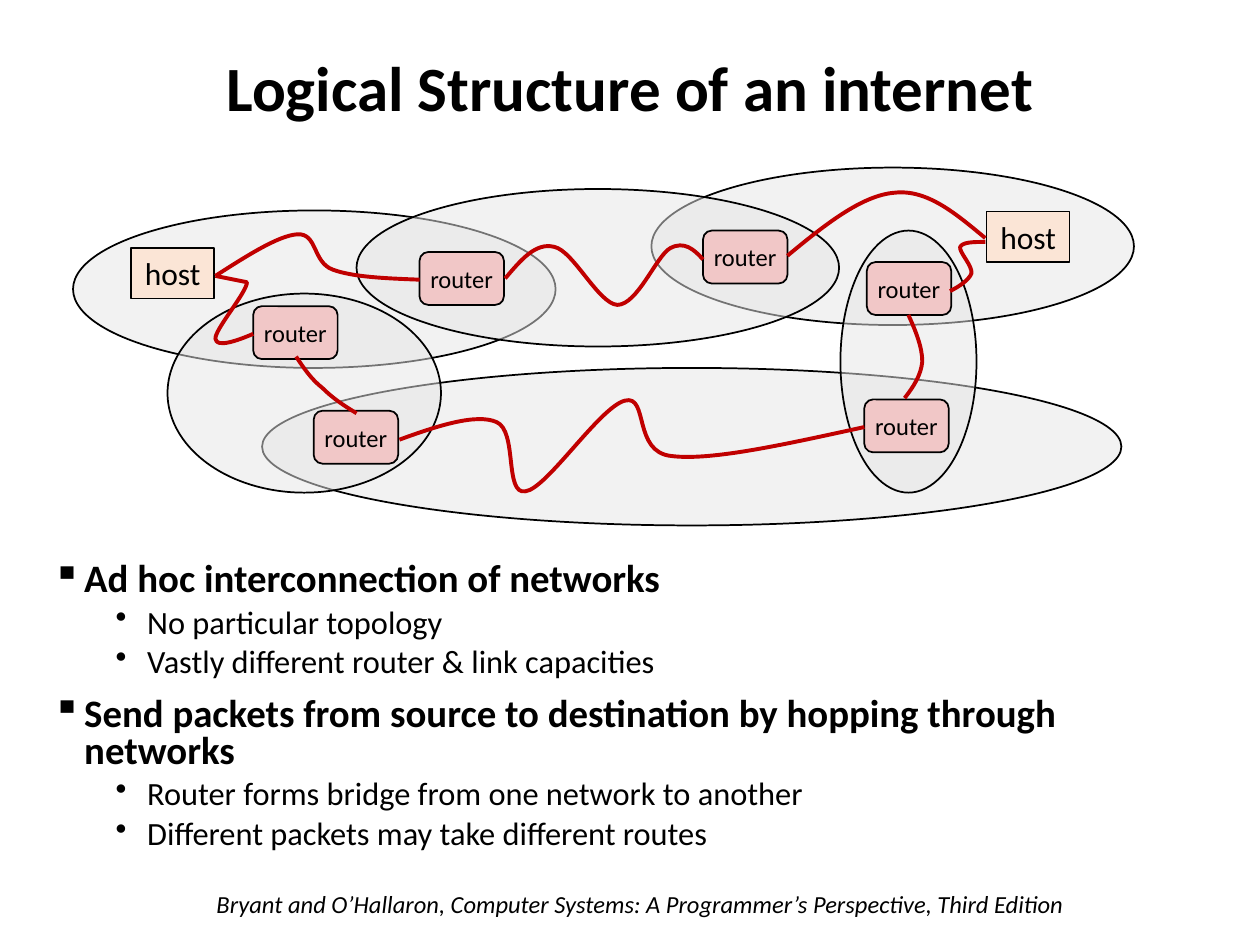
from lxml import etree
from pptx import Presentation
from pptx import util as u
from pptx.dml.color import RGBColor
from pptx.enum import shapes, text
from pptx.oxml.ns import qn

PX = 9144
BLACK = RGBColor(0x00, 0x00, 0x00)
GREY = RGBColor(0xE6, 0xE6, 0xE6)
PINK = RGBColor(0xF1, 0xC7, 0xC7)
PEACH = RGBColor(0xFB, 0xE5, 0xD6)
RED = RGBColor(0xC0, 0x00, 0x00)
KIND = shapes.MSO_SHAPE

CLOUDS = [
    (8, 37, 383, 125), (158, 162, 682, 125), (467, 3, 383, 125),
    (233, 20, 383, 125), (83, 103, 217, 158), (617, 53, 108, 208),
]
ROUTERS = [(151, 113), (199, 196), (283, 70), (508, 53), (636, 187), (638, 78)]
HOSTS = [(733, 38), (54, 67)]
LINKS = [
    [(121, 89), (121, 89), (146, 94), (146, 94), (146, 102), (120, 132),
     (121, 139), (122, 146), (137, 141), (151, 135)],
    [(121, 89), (146, 73), (171, 57), (186, 56), (202, 55), (198, 78),
     (214, 84), (230, 90), (257, 91), (283, 92)],
    [(185, 153), (191, 162), (197, 171), (206, 178), (214, 186), (223, 192),
     (233, 198)],
    [(351, 91), (363, 77), (375, 62), (390, 66), (405, 69), (425, 111),
     (440, 112), (456, 112), (471, 73), (482, 67), (493, 61), (501, 68),
     (508, 76)],
    [(575, 73), (604, 49), (634, 25), (660, 23), (686, 20), (709, 40),
     (732, 59)],
    [(267, 219), (297, 208), (328, 198), (344, 205), (361, 212), (350, 263),
     (367, 260), (384, 258), (426, 193), (446, 188), (465, 183), (452, 229),
     (483, 232), (515, 236), (576, 222), (636, 209)],
    [(668, 186), (675, 177), (681, 168), (682, 157), (682, 146), (677, 133),
     (671, 120)],
    [(704, 101), (712, 97), (719, 92), (721, 87), (722, 81), (711, 70),
     (712, 66), (714, 62), (723, 62), (732, 62)],
]
POINTS = [
    (0, "Ad hoc interconnection of networks"),
    (1, "No particular topology"),
    (1, "Vastly different router & link capacities"),
    (0, "Send packets from source to destination by hopping through networks"),
    (1, "Router forms bridge from one network to another"),
    (1, "Different packets may take different routes"),
]


def style(para, size, bold=False, italic=False):
    for run in para.runs:
        font = run.font
        font.name = "Calibri"
        font.size = u.Pt(size)
        font.bold = bold
        font.italic = italic
        font.color.rgb = BLACK


def frame(slide, box):
    body = slide.shapes.add_textbox(*[n * PX for n in box]).text_frame
    body.word_wrap = True
    return body


def node(slide, kind, box, fill, label="", size=14):
    shape = slide.shapes.add_shape(kind, *[n * PX for n in box])
    shape.shadow.inherit = False
    shape.fill.solid()
    shape.fill.fore_color.rgb = fill
    shape.line.color.rgb = BLACK
    shape.line.width = u.Pt(1)
    if label:
        body = shape.text_frame
        body.word_wrap = False
        body.vertical_anchor = text.MSO_ANCHOR.MIDDLE
        body.text = label
        para = body.paragraphs[0]
        para.alignment = text.PP_ALIGN.CENTER
        style(para, size)
    return shape


def cloud(slide, box):
    shape = node(slide, KIND.OVAL, box, GREY)
    color = shape._element.spPr.find(".//" + qn("a:srgbClr"))
    etree.SubElement(color, qn("a:alpha"), val="50000")


def link(slide, left, top, dots):
    pen = slide.shapes.build_freeform(*dots[0], scale=PX)
    pen.add_line_segments(dots[1:], close=False)
    shape = pen.convert_to_shape(left * PX, top * PX)
    path = shape._element.spPr.find(".//" + qn("a:path"))
    steps = path.findall(qn("a:lnTo"))
    for i in range(0, len(steps), 3):
        curve = etree.SubElement(path, qn("a:cubicBezTo"))
        for step in steps[i:i + 3]:
            curve.append(step[0])
            path.remove(step)
    shape.shadow.inherit = False
    shape.fill.background()
    shape.line.color.rgb = RED
    shape.line.width = u.Pt(2.25)


def network(slide, left, top):
    for x, y, wide, high in CLOUDS:
        cloud(slide, (left + x, top + y, wide, high))
    for x, y in ROUTERS:
        box = (left + x, top + y, 67, 42)
        node(slide, KIND.ROUNDED_RECTANGLE, box, PINK, "router")
    for x, y in HOSTS:
        box = (left + x, top + y, 66, 40)
        node(slide, KIND.RECTANGLE, box, PEACH, "host", 18)
    for dots in LINKS:
        link(slide, left, top, dots)


def title(slide, box):
    body = frame(slide, box)
    body.vertical_anchor = text.MSO_ANCHOR.MIDDLE
    body.text = "Logical Structure of an internet"
    para = body.paragraphs[0]
    para.alignment = text.PP_ALIGN.CENTER
    para.line_spacing = 0.9
    style(para, 36, bold=True)


def bullets(slide, box):
    body = frame(slide, box)
    body.text = "\n".join(line for _, line in POINTS)
    for i, (level, _) in enumerate(POINTS):
        para = body.paragraphs[i]
        prop = para._p.get_or_add_pPr()
        prop.set("marL", str((75 if level else 25) * PX))
        prop.set("indent", str(-25 * PX))
        etree.SubElement(prop, qn("a:buChar"), char="•" if level else "▪")
        para.level = level
        para.line_spacing = 0.8
        if i:
            para.space_before = u.Pt(5 if level else 10)
        style(para, 18.5 if level else 22.2, bold=not level)


def footer(slide, box):
    body = frame(slide, box)
    body.text = ("Bryant and O’Hallaron, Computer Systems: "
                 "A Programmer’s Perspective, Third Edition")
    style(body.paragraphs[0], 14, italic=True)


def main():
    deck = Presentation()
    deck.slide_width = 1000 * PX
    deck.slide_height = 750 * PX
    slide = deck.slides.add_slide(deck.slide_layouts[6])
    footer(slide, (162, 701, 710, 34))
    title(slide, (0, 0, 1000, 145))
    bullets(slide, (32, 442, 942, 230))
    network(slide, 50, 130)
    deck.save("out.pptx")


if __name__ == "__main__":
    main()
